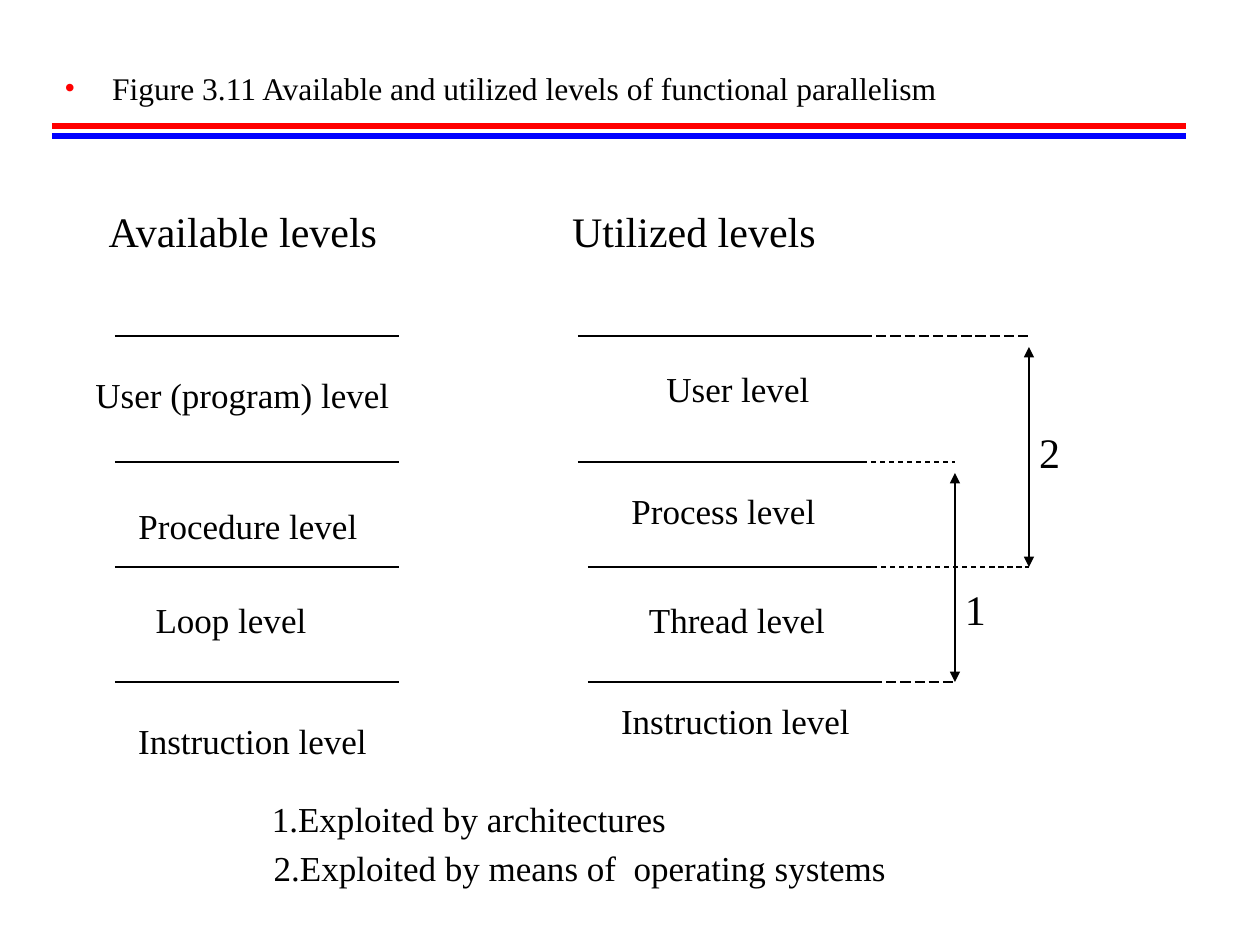
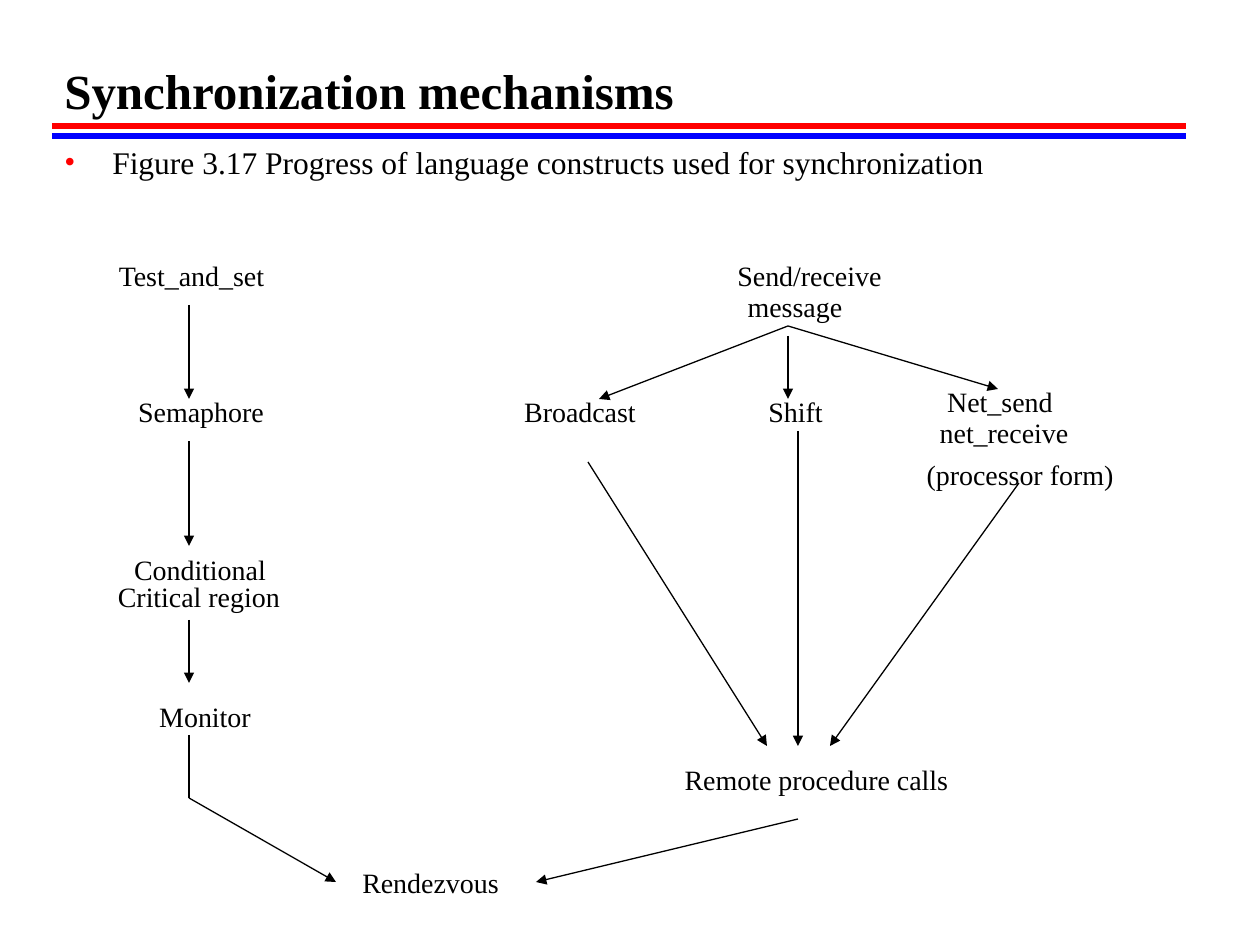
from lxml import etree
from pptx import Presentation
from pptx import util as u
from pptx.dml import color
from pptx.enum import dml, text
from pptx.oxml import ns

PX = 914400 / 126  # EMU per pixel, 126 pixels to the inch
FONT = "Times New Roman"
COLORS = {"ink": "000000", "red": "FF0000", "blue": "0000FF", "paper": "FFFFFF"}
BOX_HEIGHTS = {24: 63, 20: 55, 16: 47}  # one line of text at each point size
SLACK = 3  # extra room at each side of a label, so that it stays on one line
DASH, LONG_DASH = dml.MSO_LINE.DASH, dml.MSO_LINE.LONG_DASH


def add_line(slide, ends, ink="ink", points=0.75, dash=None, arrows=()):
    """Draw from (x1, y1) to (x2, y2); arrows names the ends that get a head."""
    line = slide.shapes.add_connector(1, *(round(value * PX) for value in ends))
    line.line.color.rgb = color.RGBColor.from_string(COLORS[ink])
    line.line.width = u.Pt(points)
    if dash:
        line.line.dash_style = dash
    properties = line.element.spPr
    outline = properties.find(ns.qn("a:ln"))
    for end in arrows:
        etree.SubElement(outline, ns.qn(f"a:{end}"), type="triangle")
    etree.SubElement(properties, ns.qn("a:effectLst"))


def add_text(slide, words, left, top, width, size, height=None, space=0):
    """Add a centred single-line label, or a wrapping left-aligned block if height is given."""
    if not height:
        left, width = left - SLACK, width + 2 * SLACK
    bounds = (left, top, width, height or BOX_HEIGHTS[size])
    box = slide.shapes.add_textbox(*(round(value * PX) for value in bounds))
    frame = box.text_frame
    frame.word_wrap = bool(height)
    frame.text = words
    paragraph = frame.paragraphs[0]
    if not height:
        frame.auto_size = text.MSO_AUTO_SIZE.SHAPE_TO_FIT_TEXT
        frame.vertical_anchor = text.MSO_ANCHOR.MIDDLE
        paragraph.alignment = text.PP_ALIGN.CENTER
    paragraph.space_before = u.Pt(space)
    paragraph.font.name = FONT
    paragraph.font.size = u.Pt(size)
    paragraph.font.color.rgb = color.RGBColor.from_string(COLORS["ink"])
    return box


presentation = Presentation()
presentation.slide_width = u.Inches(10)
presentation.slide_height = u.Inches(7.5)

# Shared parts: background, double rule and bulleted figure caption
captions = [
    ("Figure 3.11 Available and utilized levels of functional parallelism", 63, 1106, 850),
    ("Figure 3.17 Progress of language constructs used for synchronization", 137, 1138, 777),
]
for caption, top, width, height in captions:
    slide = presentation.slides.add_slide(presentation.slide_layouts[6])
    slide.background.fill.solid()
    slide.background.fill.fore_color.rgb = color.RGBColor.from_string(COLORS["paper"])
    for ink, y in (("blue", 136), ("red", 126)):
        add_line(slide, (52, y, 1186, y), ink, 3)
    body = add_text(slide, caption, 52, top, width, 18, height, space=4.5)
    bullet = body.text_frame.paragraphs[0]._p.get_or_add_pPr()
    bullet.set("marL", str(u.Inches(0.38)))
    bullet.set("indent", str(-u.Inches(0.38)))
    bullet_color = etree.SubElement(bullet, ns.qn("a:buClr"))
    etree.SubElement(bullet_color, ns.qn("a:srgbClr"), val=COLORS["red"])
    etree.SubElement(bullet, ns.qn("a:buFont"), typeface=FONT)
    etree.SubElement(bullet, ns.qn("a:buChar"), char="•")
    # Paragraph defaults come last in the paragraph properties
    bullet.append(bullet.find(ns.qn("a:defRPr")))

levels_slide, sync_slide = presentation.slides

# Slide 1: available and utilized levels
for heading, left, width in (("Available levels", 95, 296), ("Utilized levels", 560, 268)):
    add_text(levels_slide, heading, left, 199, width, 24, space=15)

# Each row: y, start of the utilized line, end of its dashed extension, dash
level_rows = [
    (336, 578, 1029, LONG_DASH),
    (462, 578, 955, DASH),
    (567, 588, 1029, DASH),
    (682, 588, 955, LONG_DASH),
]
RULE_WIDTH = 284
for y, start, reach, dash in level_rows:
    add_line(levels_slide, (115, y, 115 + RULE_WIDTH, y))
    add_line(levels_slide, (start, y, start + RULE_WIDTH, y))
    add_line(levels_slide, (start + RULE_WIDTH, y, reach, y), dash=dash)

level_labels = [
    ("User (program) level", 83, 367, 319, 0),
    ("Procedure level", 126, 498, 244, 0),
    ("Loop level", 143, 592, 176, 0),
    ("Instruction level", 126, 713, 253, 12.5),
    ("User level", 654, 361, 168, 0),
    ("Process level", 619, 483, 209, 0),
    ("Thread level", 636, 592, 202, 0),
    ("Instruction level", 609, 693, 253, 0),
    ("1.Exploited by architectures", 259, 791, 420, 0),
    ("2.Exploited by means of  operating systems", 261, 840, 638, 0),
]
for label, left, top, width, space in level_labels:
    add_text(levels_slide, label, left, top, width, 20, space=space)

for number, x, top, bottom, label_top in (("2", 1029, 347, 567, 420), ("1", 955, 473, 682, 577)):
    add_line(levels_slide, (x, top, x, bottom), arrows=("headEnd", "tailEnd"))
    add_text(levels_slide, number, x - 2, label_top, 45, 24)

# Slide 2: synchronization mechanisms
title = add_text(sync_slide, "Synchronization mechanisms", 52, 32, 1134, 28, 94)
title.text_frame.vertical_anchor = text.MSO_ANCHOR.BOTTOM
title.text_frame.paragraphs[0].font.bold = True

constructs = [
    ("Test_and_set", 105, 252, 173),
    ("Semaphore", 126, 388, 150),
    ("Conditional", 122, 546, 156),
    ("Critical region", 106, 573, 186),
    ("Monitor", 147, 693, 116),
    ("Rendezvous", 350, 859, 161),
    ("Send/receive", 725, 252, 169),
    ("message", 735, 283, 120),
    ("Broadcast", 512, 388, 136),
    ("Shift", 756, 388, 79),
    ("Net_send", 935, 378, 130),
    ("net_receive", 927, 409, 154),
    ("(processor form)", 914, 451, 212),
    ("Remote procedure calls", 672, 756, 289),
]
for construct, left, top, width in constructs:
    add_text(sync_slide, construct, left, top, width, 16)

progress_arrows = [
    (189, 305, 189, 399),
    (189, 441, 189, 546),
    (189, 620, 189, 683),
    (189, 798, 336, 882),
    (798, 819, 536, 882),
    (788, 326, 599, 399),
    (788, 336, 788, 399),
    (788, 326, 998, 389),
    (588, 462, 767, 746),
    (798, 431, 798, 746),
    (1019, 483, 830, 746),
]
add_line(sync_slide, (189, 735, 189, 798))
for ends in progress_arrows:
    add_line(sync_slide, ends, arrows=("tailEnd",))

presentation.save("out.pptx")
